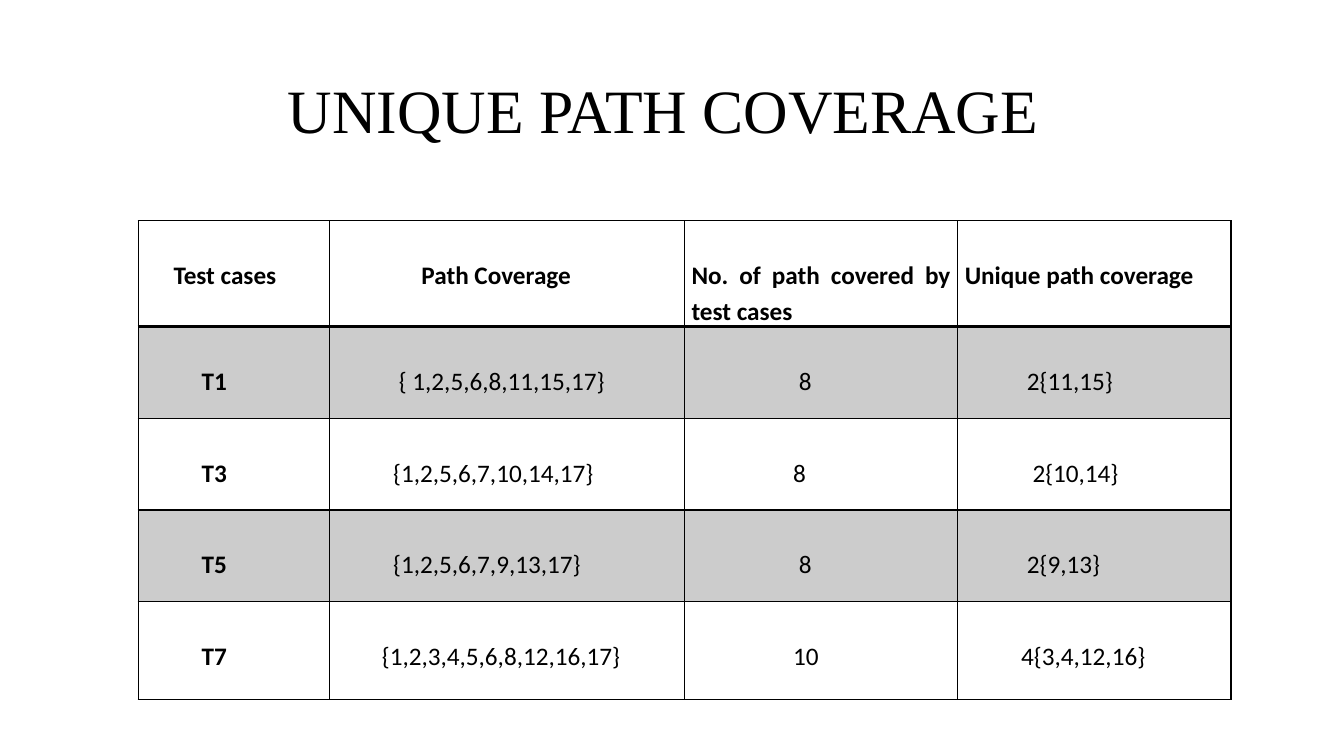
from dataclasses import dataclass
from typing import Any

from lxml import etree
from pptx import Presentation
from pptx.dml.color import RGBColor
from pptx.enum.text import MSO_ANCHOR, PP_ALIGN
from pptx.oxml.ns import qn
from pptx.util import Inches, Pt

MIDDLE, TOP = MSO_ANCHOR.MIDDLE, MSO_ANCHOR.TOP
LEFT, JUSTIFY = PP_ALIGN.LEFT, PP_ALIGN.JUSTIFY


@dataclass(frozen=True)
class Theme:
    """Colours, fonts and sizes, with cell spacing in percent of the slide."""
    ink: str = "000000"
    paper: str = "FFFFFF"
    band: str = "CCCCCC"
    title_font: str = "Times New Roman"
    body_font: str = "Calibri"
    title_size: int = 44
    body_size: int = 18
    thin_line: int = 1
    header_line: int = 2
    cell_padding: float = 0.53
    cell_top: float = 4.67
    indent_step: float = 0.42


@dataclass
class SlideBuilder:
    """Draws styled elements on one slide, measured in percent of its size."""
    presentation: Any
    slide: Any
    theme: Theme

    def across(self, share):
        return round(self.presentation.slide_width * share / 100)

    def down(self, share):
        return round(self.presentation.slide_height * share / 100)

    def box(self, left, top, width, height):
        return self.across(left), self.down(top), self.across(width), self.down(height)

    def set_text(self, text_frame, text, font, size, alignment, spacing, bold=False):
        text_frame.text = text
        text_frame.word_wrap = True
        paragraph = text_frame.paragraphs[0]
        paragraph.alignment = alignment
        paragraph.line_spacing = spacing
        for run in paragraph.runs:
            run.font.name = font
            run.font.size = Pt(size)
            run.font.bold = bold
            run.font.color.rgb = RGBColor.from_string(self.theme.ink)

    def title(self, text, place, indent):
        text_frame = self.slide.shapes.add_textbox(*self.box(*place)).text_frame
        self.set_text(text_frame, text, self.theme.title_font, self.theme.title_size, LEFT, 0.9)
        text_frame.vertical_anchor = MIDDLE
        text_frame.margin_left = self.across(indent)

    def border(self, cell, side, width):
        properties = cell._tc.get_or_add_tcPr()
        line = etree.SubElement(properties, qn(f"a:ln{side}"), w=str(Pt(width)))
        fill = etree.SubElement(line, qn("a:solidFill"))
        etree.SubElement(fill, qn("a:srgbClr"), val=self.theme.ink)

    def cell(self, cell, text, indent, row, column):
        theme = self.theme
        bold = row == 0 or column == 0
        self.set_text(cell.text_frame, text, theme.body_font, theme.body_size, JUSTIFY, 1.15, bold)
        cell.vertical_anchor = TOP
        cell.margin_left = self.across(theme.cell_padding + indent * theme.indent_step)
        cell.margin_right = self.across(theme.cell_padding)
        cell.margin_top = self.down(theme.cell_top)
        cell.margin_bottom = 0
        for side in "LRTB":
            under_header = (row, side) in ((0, "B"), (1, "T"))
            self.border(cell, side, theme.header_line if under_header else theme.thin_line)
        cell.fill.solid()
        cell.fill.fore_color.rgb = RGBColor.from_string(theme.band if row % 2 else theme.paper)

    def table(self, rows, left, top, widths, heights):
        place = self.box(left, top, sum(widths), sum(heights))
        table = self.slide.shapes.add_table(len(rows), len(widths), *place).table
        table.first_row = table.horz_banding = False
        for column, width in zip(table.columns, widths):
            column.width = self.across(width)
        for row, height in zip(table.rows, heights):
            row.height = self.down(height)
        for row, entries in enumerate(rows):
            for column, (text, indent) in enumerate(entries):
                self.cell(table.cell(row, column), text, indent, row, column)


COVERAGE_ROWS = [
    [("Test cases", 5), ("Path Coverage", 15),
     ("No. of path covered by test cases", 0), ("Unique path coverage", 0)],
    [("T1", 10), ("{ 1,2,5,6,8,11,15,17}", 11), ("8", 19), ("2{11,15}", 11)],
    [("T3", 10), ("{1,2,5,6,7,10,14,17}", 10), ("8", 18), ("2{10,14}", 12)],
    [("T5", 10), ("{1,2,5,6,7,9,13,17}", 10), ("8", 19), ("2{9,13}", 11)],
    [("T7", 10), ("{1,2,3,4,5,6,8,12,16,17}", 8), ("10", 18), ("4{3,4,12,16}", 10)],
]

presentation = Presentation()
presentation.slide_width = Inches(13.33)
presentation.slide_height = Inches(7.5)
slide = presentation.slides.add_slide(presentation.slide_layouts[6])
builder = SlideBuilder(presentation, slide, Theme())
builder.title("UNIQUE PATH COVERAGE", (6.9, 5.33, 86.25, 19.33), indent=14.5)
builder.table(COVERAGE_ROWS, left=10.28, top=29.2,
              widths=[14.25, 26.4, 20.33, 20.33],
              heights=[14] + [12.13] * 3 + [12.93])
presentation.save("out.pptx")
